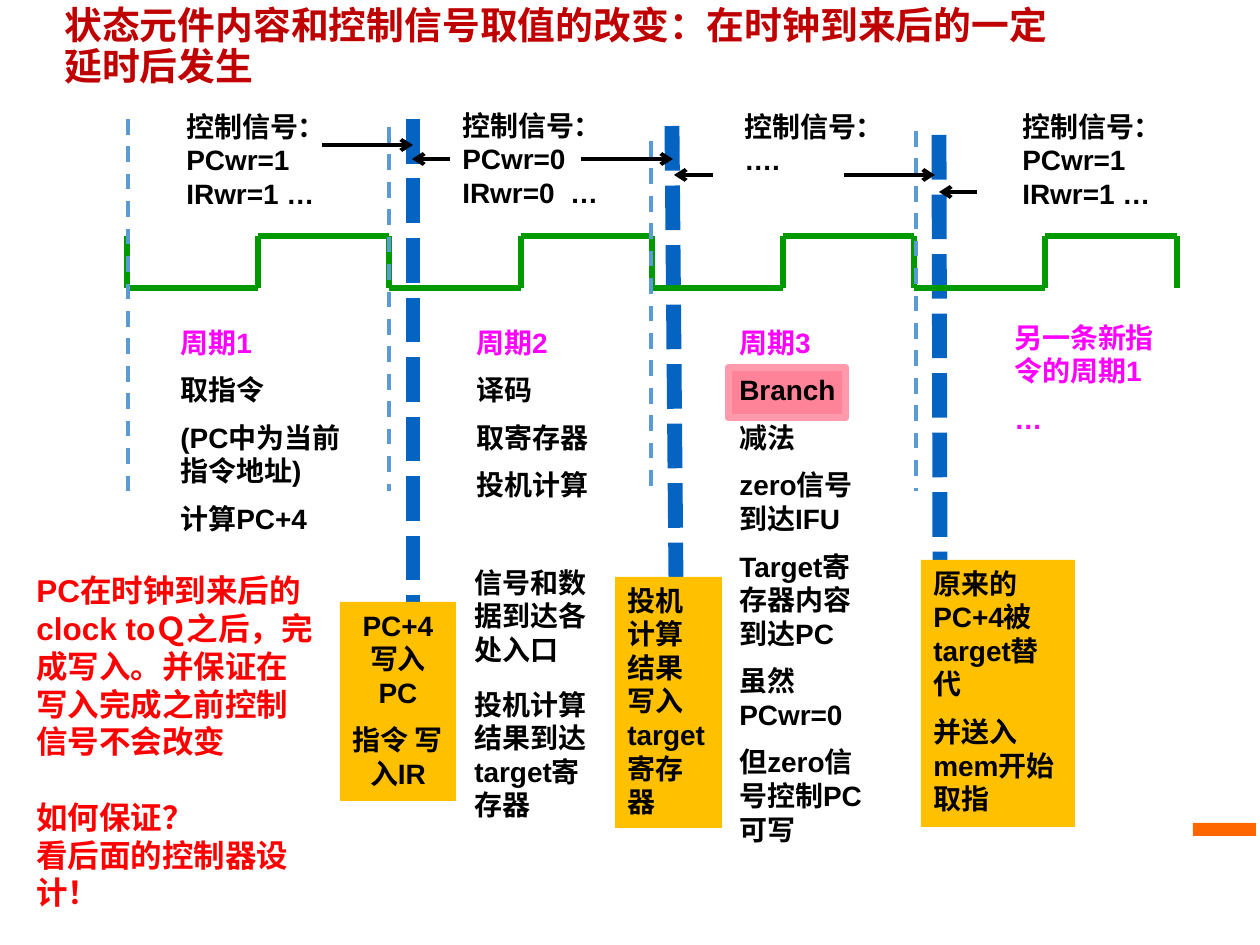
from lxml.etree import SubElement
from pptx import Presentation
from pptx.dml.color import RGBColor
from pptx.enum.dml import MSO_LINE_DASH_STYLE as DASH
from pptx.enum.shapes import MSO_CONNECTOR, MSO_SHAPE
from pptx.enum.text import MSO_ANCHOR, PP_ALIGN
from pptx.oxml.ns import qn
from pptx.util import Inches, Pt

PX = Inches(1) / 126
LATIN_FONT = "Arial"
CJK_FONT = "Noto Sans CJK SC"

BLACK = RGBColor(0x00, 0x00, 0x00)
RED = RGBColor(0xFF, 0x00, 0x00)
DARK_RED = RGBColor(0xC0, 0x00, 0x00)
MAGENTA = RGBColor(0xFF, 0x00, 0xFF)
GREEN = RGBColor(0x00, 0x99, 0x00)
BLUE = RGBColor(0x05, 0x63, 0xC1)
LIGHT_BLUE = RGBColor(0x5B, 0x9B, 0xD5)
AMBER = RGBColor(0xFF, 0xC0, 0x00)
ORANGE = RGBColor(0xFF, 0x66, 0x00)
PINK = RGBColor(0xFF, 0x83, 0x98)
PINK_EDGE = RGBColor(0xFE, 0x9A, 0xAB)

CLOCK_LEFT, HALF_PERIOD, CLOCK_HIGH, CLOCK_LOW = 127, 131.2, 236, 288


def px(*lengths):
    return [round(length * PX) for length in lengths]


def add_line(slide, start, end, color, width, dash=None, arrow=False):
    line = slide.shapes.add_connector(MSO_CONNECTOR.STRAIGHT, *px(*start, *end))
    line.line.color.rgb = color
    line.line.width = Pt(width)
    if dash:
        line.line.dash_style = dash
    if arrow:
        SubElement(line.line._get_or_add_ln(), qn("a:tailEnd"), type="arrow")
    SubElement(line._element.spPr, qn("a:effectLst"))


def add_box(slide, box, fill, edge=None, edge_width=0):
    shape = slide.shapes.add_shape(MSO_SHAPE.RECTANGLE, *px(*box))
    shape.shadow.inherit = False
    shape.fill.solid()
    shape.fill.fore_color.rgb = fill
    if edge:
        shape.line.color.rgb = edge
        shape.line.width = Pt(edge_width)
    else:
        shape.line.fill.background()
    return shape


def add_text(slide, box, paragraphs, size=16, color=BLACK, heading=None, gap=0,
             fill=None, align=PP_ALIGN.LEFT, anchor=MSO_ANCHOR.TOP,
             font=LATIN_FONT, line_spacing=None):
    """Write bold paragraphs; heading colours the first, gap separates them."""
    if fill:
        shape = add_box(slide, box, fill)
    else:
        shape = slide.shapes.add_textbox(*px(*box))
    frame = shape.text_frame
    frame.word_wrap = True
    frame.vertical_anchor = anchor
    for index, text in enumerate(paragraphs):
        paragraph = frame.add_paragraph() if index else frame.paragraphs[0]
        paragraph.alignment = align
        paragraph.line_spacing = line_spacing
        paragraph.space_before = Pt(gap if index else 0)
        run = paragraph.add_run()
        run.text = text
        run.font.size = Pt(size)
        run.font.bold = True
        run.font.name = font
        run.font.color.rgb = heading if heading and index == 0 else color
        SubElement(run.font._element, qn("a:ea"), typeface=CJK_FONT)
    return frame


def add_clock(slide):
    edges = [CLOCK_LEFT + round(HALF_PERIOD * i) for i in range(9)]
    for index, x in enumerate(edges):
        add_line(slide, (x, CLOCK_HIGH), (x, CLOCK_LOW), GREEN, 3)
        if index:
            level = CLOCK_LOW if index % 2 else CLOCK_HIGH
            add_line(slide, (edges[index - 1], level), (x, level), GREEN, 3)


def add_cycle_borders(slide):
    for x, top, bottom in [(128, 119, 496), (389, 127, 491),
                           (651, 141, 496), (916, 131, 491)]:
        add_line(slide, (x, top), (x, bottom), LIGHT_BLUE, 2.25, DASH.DASH)


def add_delay_marks(slide):
    for start, end in [((939, 135), (940, 562)), ((672, 126), (676, 580)),
                       ((413, 119), (413, 604))]:
        add_line(slide, start, end, BLUE, 8.5, DASH.SQUARE_DOT)


def add_signals(slide):
    first_cycle = ["控制信号：", "PCwr=1", "IRwr=1 …"]
    add_text(slide, (174, 103, 176, 115), first_cycle)
    add_text(slide, (450, 102, 179, 115), ["控制信号：", "PCwr=0", "IRwr=0  …"])
    add_text(slide, (732, 103, 178, 81), ["控制信号：", "…."])
    add_text(slide, (1010, 103, 224, 115), first_cycle)
    for x1, x2, y in [(450, 412, 159), (581, 673, 159), (713, 674, 175),
                      (844, 935, 175), (322, 413, 145), (977, 939, 192)]:
        add_line(slide, (x1, y), (x2, y), BLACK, 2.25, arrow=True)


def add_cycles(slide):
    add_text(slide, (168, 319, 193, 233),
             ["周期1", "取指令", "(PC中为当前指令地址)", "计算PC+4"],
             heading=MAGENTA, gap=8)
    add_text(slide, (464, 319, 154, 198),
             ["周期2", "译码", "取寄存器", "投机计算"], heading=MAGENTA, gap=8)
    add_text(slide, (462, 559, 154, 113), ["信号和数据到达各处入口"])
    add_text(slide, (462, 681, 154, 149), ["投机计算结果到达target寄存器"])
    add_text(slide, (727, 319, 154, 556),
             ["周期3", "Branch", "减法", "zero信号到达IFU",
              "Target寄存器内容到达PC", "虽然PCwr=0", "但zero信号控制PC可写"],
             heading=MAGENTA, gap=8)
    add_text(slide, (1002, 314, 184, 131), ["另一条新指令的周期1", "…"],
             color=MAGENTA, gap=8)


def add_results(slide):
    add_text(slide, (340, 602, 116, 199), ["PC+4 写入PC", "指令 写入IR"],
             gap=8, fill=AMBER, align=PP_ALIGN.CENTER)
    add_text(slide, (615, 577, 107, 251), ["投机计算结果写入target寄存器"],
             fill=AMBER)
    add_text(slide, (921, 560, 154, 267),
             ["原来的PC+4被target替代", "并送入mem开始取指"], gap=8, fill=AMBER)


def add_remark(slide):
    frame = add_text(slide, (24, 565, 305, 353),
                     ["PC在时钟到来后的clock toＱ之后，完成写入。并保证在写入完成之前控制信号不会改变",
                      "如何保证？", "看后面的控制器设计！"], size=18, color=RED)
    frame.paragraphs[1].space_before = Pt(21.5)


def main():
    presentation = Presentation()
    presentation.slide_width, presentation.slide_height = px(1260, 945)
    slide = presentation.slides.add_slide(presentation.slide_layouts[6])
    add_box(slide, (1193, 823, 63, 13), ORANGE)
    add_box(slide, (728, 368, 118, 50), PINK, PINK_EDGE, 4)
    add_delay_marks(slide)
    add_text(slide, (52, 0, 1033, 96),
             ["状态元件内容和控制信号取值的改变：在时钟到来后的一定延时后发生"],
             size=21.6, color=DARK_RED, font=CJK_FONT,
             anchor=MSO_ANCHOR.MIDDLE, line_spacing=0.9)
    add_clock(slide)
    add_cycle_borders(slide)
    add_cycles(slide)
    add_results(slide)
    add_remark(slide)
    add_signals(slide)
    presentation.save("out.pptx")


if __name__ == "__main__":
    main()
